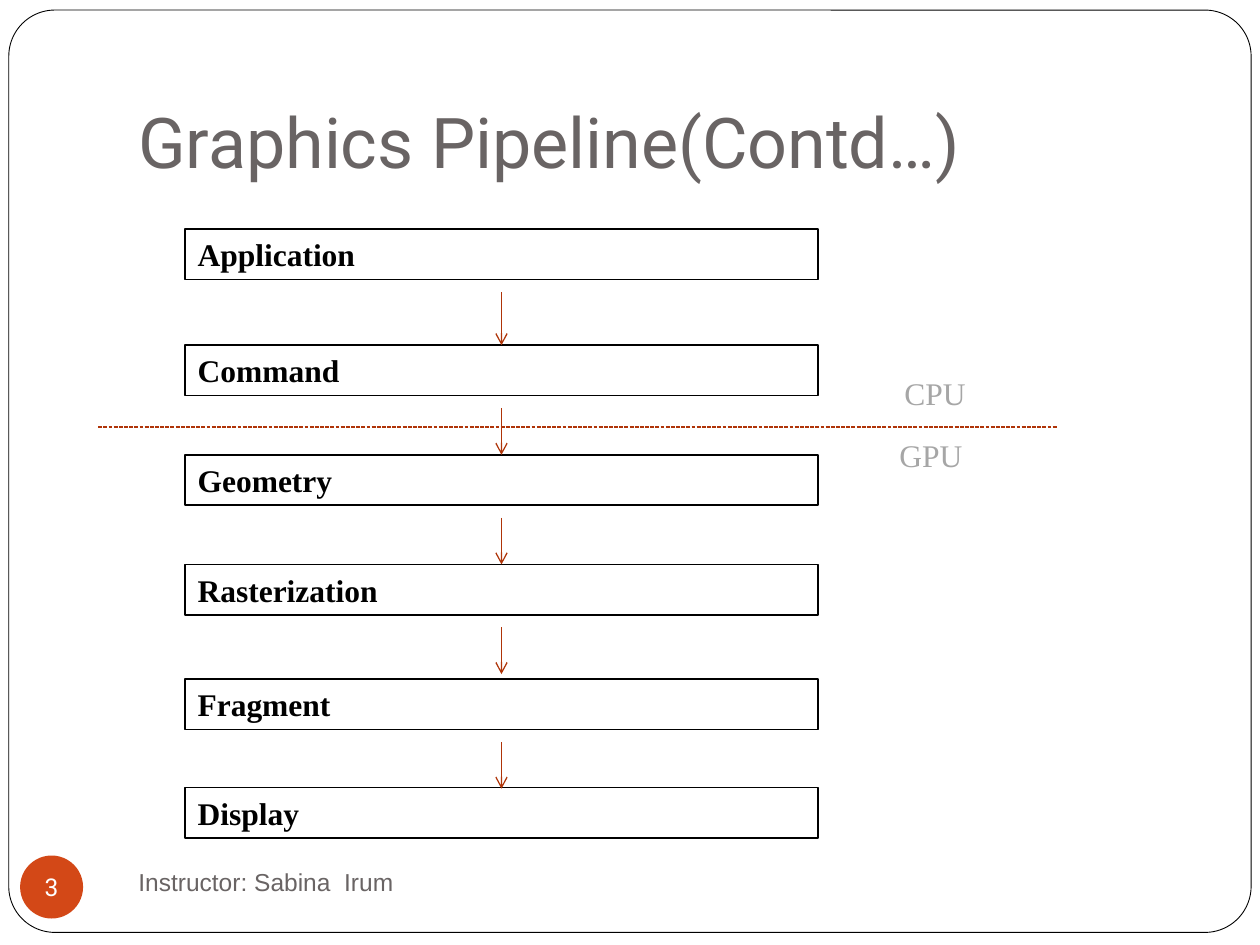
"""Build the graphics pipeline slide on a grid of 100 columns by 75 rows."""
from dataclasses import dataclass

from lxml.etree import SubElement
from pptx import Presentation
from pptx.dml.color import RGBColor as RGB
from pptx.enum.dml import MSO_LINE
from pptx.enum.shapes import MSO_CONNECTOR, MSO_SHAPE as Shape
from pptx.enum.text import MSO_ANCHOR as Anchor, PP_ALIGN as Align
from pptx.oxml.ns import qn
from pptx.util import Inches, Pt


@dataclass(frozen=True)
class Theme:
    white: str = "FFFFFF"
    black: str = "000000"
    gray: str = "696464"
    pale: str = "A6A6A6"
    badge: str = "D34817"
    rust: str = "AF3408"
    head: str = "Roboto"
    body: str = "Arial"
    serif: str = "Times New Roman"
    title_size: int = 40
    label_size: int = 18
    small_size: int = 14


@dataclass(frozen=True)
class Box:
    col: float
    row: float
    cols: float
    rows: float


@dataclass(frozen=True)
class Stage:
    name: str
    row: float
    arrow: float = 3.7


@dataclass(frozen=True)
class Label:
    text: str
    box: Box
    size: int
    font: str
    color: str
    anchor: Anchor = Anchor.TOP
    bottom: float = 0.5


THEME = Theme()
COLUMNS, ROWS = 100, 75
STAGE_COL, STAGE_COLS, STAGE_ROWS, ARROW_GAP = 14.7, 50.2, 4, 1
STAGES = [
    Stage("Application", 18.2, 4.2),
    Stage("Command", 27.4),
    Stage("Geometry", 36.1),
    Stage("Rasterization", 44.8),
    Stage("Fragment", 53.9),
    Stage("Display", 62.5),
]
LABELS = [
    Label("Graphics Pipeline(Contd…)", Box(10, 3, 85, 12.5), THEME.title_size,
          THEME.head, THEME.gray, Anchor.BOTTOM, 1),
    Label("CPU", Box(70.8, 29.2, 17.1, 4), THEME.label_size, THEME.serif, THEME.pale),
    Label("GPU", Box(70.4, 34.1, 17.1, 4), THEME.label_size, THEME.serif, THEME.pale),
    Label("Instructor: Sabina  Irum", Box(10, 67.5, 43.3, 5), THEME.small_size,
          THEME.body, THEME.gray, Anchor.MIDDLE),
]

prs = Presentation()
prs.slide_width, prs.slide_height = Inches(10), Inches(7.5)
s = prs.slides.add_slide(prs.slide_layouts[6])


def x(col: float) -> int:
    """Return the horizontal length of a number of columns."""
    return round(prs.slide_width * col / COLUMNS)


def y(row: float) -> int:
    """Return the vertical length of a number of rows."""
    return round(prs.slide_height * row / ROWS)


def place(box: Box) -> tuple[int, int, int, int]:
    """Return the left, top, width and height of a grid box."""
    return x(box.col), y(box.row), x(box.cols), y(box.rows)


def write(sp, text: str, size: int, font: str, color: str, bold: bool = False,
          align: Align = Align.LEFT, anchor: Anchor = Anchor.TOP) -> None:
    """Put one styled paragraph into a shape."""
    tf = sp.text_frame
    tf.word_wrap = True
    tf.vertical_anchor = anchor
    p = tf.paragraphs[0]
    p.text, p.alignment = text, align
    p.font.size, p.font.name, p.font.bold = Pt(size), font, bold
    p.font.color.rgb = RGB.from_string(color)


def add_shape(kind: Shape, box: Box, fill: str, width: float = 0):
    """Draw a filled shape, with a black outline if it has a width."""
    sp = s.shapes.add_shape(kind, *place(box))
    sp.shadow.inherit = False
    sp.fill.solid()
    sp.fill.fore_color.rgb = RGB.from_string(fill)
    if width:
        sp.line.color.rgb = RGB.from_string(THEME.black)
        sp.line.width = Pt(width)
    else:
        sp.line.fill.background()
    return sp


def add_line(col: float, row: float, end_col: float, end_row: float):
    """Draw a thin rust line between two grid points."""
    line = s.shapes.add_connector(
        MSO_CONNECTOR.STRAIGHT, x(col), y(row), x(end_col), y(end_row))
    line.line.color.rgb = RGB.from_string(THEME.rust)
    line.line.width = Pt(0.75)
    SubElement(line._element.spPr, qn("a:effectLst"))
    return line


def add_stage(stage: Stage) -> None:
    """Draw the box of one pipeline stage."""
    box = Box(STAGE_COL, stage.row, STAGE_COLS, STAGE_ROWS)
    sp = add_shape(Shape.RECTANGLE, box, THEME.white, 1)
    write(sp, stage.name, THEME.label_size, THEME.serif, THEME.black, bold=True)


def add_arrow(stage: Stage) -> None:
    """Draw the arrow that leaves a stage."""
    center = STAGE_COL + STAGE_COLS / 2
    top = stage.row + STAGE_ROWS + ARROW_GAP
    arrow = add_line(center, top, center, top + stage.arrow)
    SubElement(arrow.line._get_or_add_ln(), qn("a:tailEnd"), type="arrow")


def add_label(label: Label) -> None:
    """Draw a free text label."""
    sp = s.shapes.add_textbox(*place(label.box))
    sp.text_frame.margin_bottom = y(label.bottom)
    write(sp, label.text, label.size, label.font, label.color, anchor=label.anchor)


def main() -> None:
    """Draw the slide and save it."""
    frame = add_shape(Shape.ROUNDED_RECTANGLE, Box(0.7, 0.8, 98.6, 73.2), THEME.white, 0.5)
    frame.adjustments[0] = 0.05
    badge = add_shape(Shape.OVAL, Box(1.6, 67.9, 5, 5), THEME.badge)
    tf = badge.text_frame
    tf.margin_left = tf.margin_right = tf.margin_top = tf.margin_bottom = 0
    write(badge, "3", THEME.small_size, THEME.head, THEME.white,
          align=Align.CENTER, anchor=Anchor.MIDDLE)
    for stage in STAGES:
        add_stage(stage)
    for stage in STAGES[:-1]:
        add_arrow(stage)
    add_line(7.8, 33.9, 83.9, 33.9).line.dash_style = MSO_LINE.SQUARE_DOT
    for label in LABELS:
        add_label(label)
    prs.save("out.pptx")


if __name__ == "__main__":
    main()
